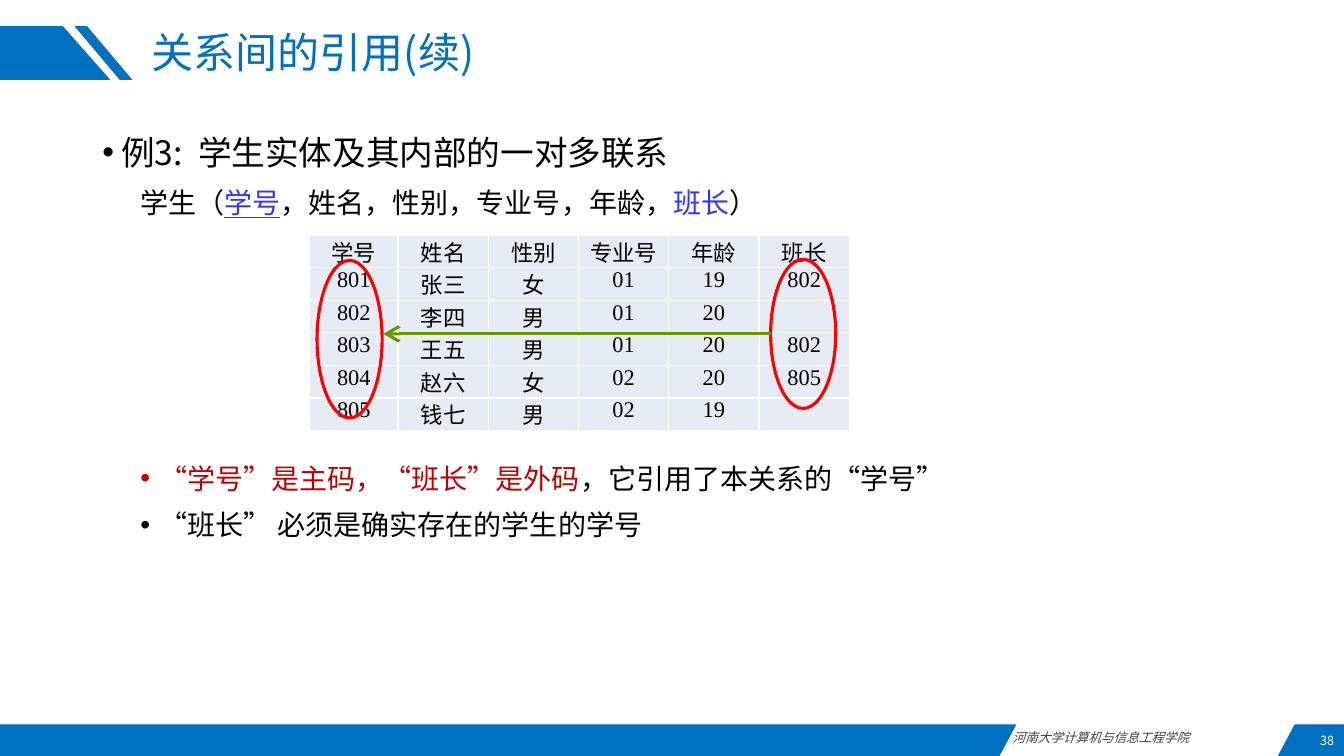
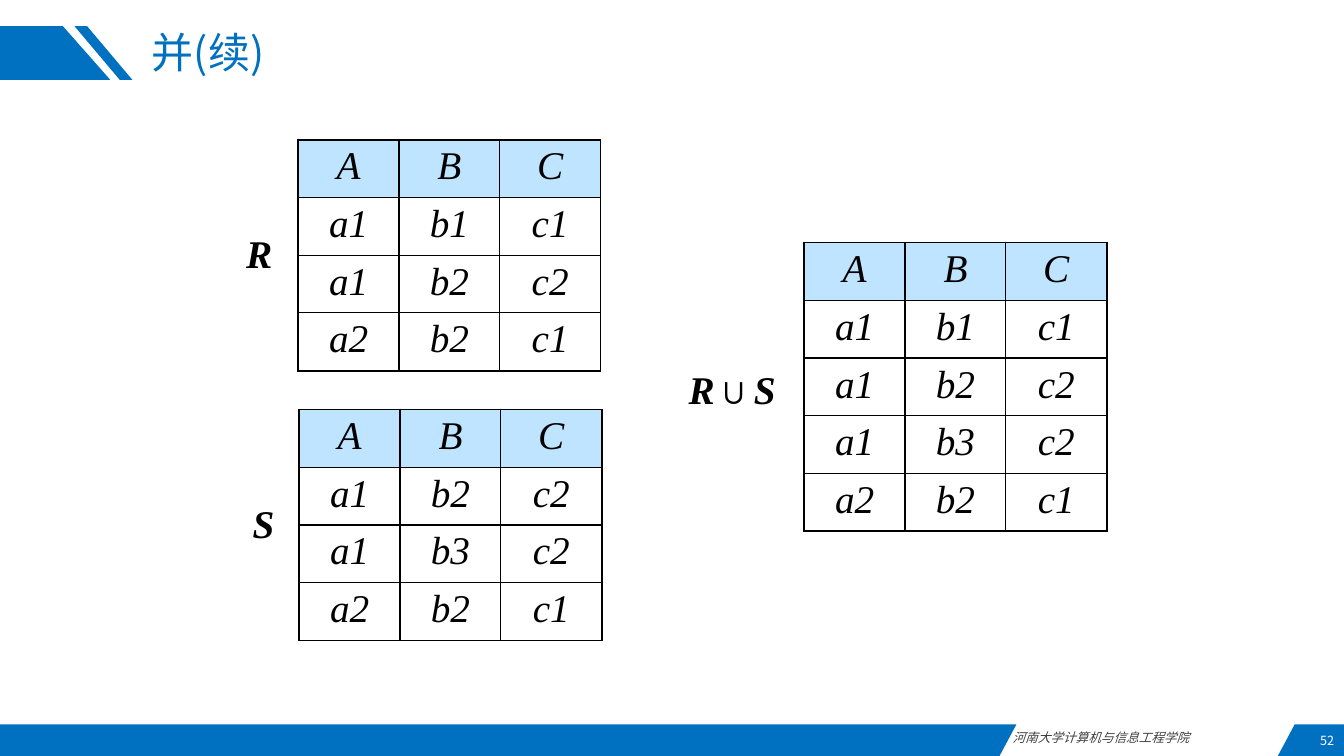
from pptx import Presentation
from pptx import util as u
from pptx.dml.color import RGBColor
from pptx.enum import shapes, text
from pptx.oxml import parse_xml
from pptx.oxml.ns import nsdecls, qn

PX = 9525
SANS = "Noto Sans CJK SC"
SERIF = "Times New Roman"
BLUE = RGBColor(0x00, 0x70, 0xC0)
LINK = RGBColor(0x33, 0x33, 0xFF)
DARK = RGBColor(0xC0, 0x00, 0x00)
RED = RGBColor(0xFF, 0x00, 0x00)
GREEN = RGBColor(0x66, 0x99, 0x00)
BLACK = RGBColor(0x00, 0x00, 0x00)
WHITE = RGBColor(0xFF, 0xFF, 0xFF)
GREY = RGBColor(0x40, 0x40, 0x40)
PALE = RGBColor(0xE7, 0xEB, 0xF4)
SKY = RGBColor(0xBF, 0xE4, 0xFF)
ALIGN = text.PP_ALIGN
MIDDLE = text.MSO_ANCHOR.MIDDLE


def px(*nums):
    return [u.Emu(n * PX) for n in nums]


def node(xml):
    """Make one drawing element from the inside of its tag."""
    return parse_xml(f"<a:{xml} {nsdecls('a')}/>")


def put(para, words, size=20, color=BLACK, font=SANS, bold=False,
        italic=False, under=False):
    """Add a run to a paragraph."""
    run = para.add_run()
    run.text = words
    face = run.font
    face.size, face.bold, face.italic = u.Pt(size), bold, italic
    face.underline = under
    face.color.rgb = color
    face.name = font
    run._r.get_or_add_rPr().append(node(f'ea typeface="{font}"'))


def edge(cell, sides, color, width):
    """Draw the borders of a cell; sides maps L, R, T, B to widths."""
    props = cell._tc.get_or_add_tcPr()
    for spot, side in enumerate("LRTB"):
        wide = u.Pt(sides.get(side, width))
        props.insert(spot, parse_xml(
            f'<a:ln{side} w="{wide}" {nsdecls("a")}><a:solidFill>'
            f'<a:srgbClr val="{color}"/></a:solidFill></a:ln{side}>'))


class Deck:
    def __init__(self):
        self.prs = Presentation()
        self.prs.slide_width, self.prs.slide_height = px(1280, 720)
        self.slide = None

    def page(self, title, number, layout):
        self.slide = self.prs.slides.add_slide(self.prs.slide_layouts[layout])
        frame = self.hold(self.slide.shapes.title, 135, 25, 1003, 54)
        frame.vertical_anchor = MIDDLE
        para = frame.paragraphs[0]
        para.alignment, para.line_spacing = ALIGN.LEFT, 0.9
        put(para, title, size=30, color=BLUE)
        self.label([(number, {})], 1146, 691, 134, 29, align=ALIGN.RIGHT,
                   size=9, color=WHITE)

    def hold(self, shape, *box):
        """Move a placeholder and return its text frame."""
        shape.left, shape.top, shape.width, shape.height = px(*box)
        frame = shape.text_frame
        frame.auto_size = text.MSO_AUTO_SIZE.NONE
        frame.word_wrap = True
        return frame

    def label(self, runs, *box, align=ALIGN.CENTER, wrap=True,
              anchor=MIDDLE, **style):
        shape = self.slide.shapes.add_textbox(*px(*box))
        frame = shape.text_frame
        frame.word_wrap, frame.vertical_anchor = wrap, anchor
        para = frame.paragraphs[0]
        para.alignment = align
        for words, extra in runs:
            put(para, words, **{**style, **extra})
        return shape

    def band(self, first, *rest):
        pen = self.slide.shapes.build_freeform(*first, scale=PX)
        pen.add_line_segments(rest, close=True)
        shape = pen.convert_to_shape()
        shape.shadow.inherit = False
        shape.fill.solid()
        shape.fill.fore_color.rgb = BLUE
        shape.line.fill.background()
        return shape

    def brand(self):
        """Draw the bands and footer, then move them to the slide master."""
        parts = [
            self.band((0, 25), (60, 25), (105, 76), (0, 76)),
            self.band((83, 25), (126, 76), (114, 76), (71, 25)),
            self.band((0, 690), (968, 690), (952, 720), (0, 720)),
            self.label([("河南大学计算机与信息工程学院", {})], 955, 690, 262, 24,
                       align=ALIGN.JUSTIFY, anchor=text.MSO_ANCHOR.TOP,
                       size=9, color=GREY, italic=True),
            self.band((1233, 690), (1280, 690), (1280, 720), (1217, 720)),
        ]
        tree = self.prs.slide_master.shapes.element
        for ident, part in enumerate(parts, 100):
            next(part.element.iter(qn("p:cNvPr"))).set("id", str(ident))
            tree.append(part.element)

    def body(self, items, *box):
        """Fill the body with (level, indent, hang, space before, runs)."""
        frame = self.hold(self.slide.placeholders[1], *box)
        for spot, (level, left, hang, before, runs) in enumerate(items):
            para = frame.add_paragraph() if spot else frame.paragraphs[0]
            para.level = level
            props = para._p.get_or_add_pPr()
            props.set("marL", str(left * PX))
            props.set("indent", str(-hang * PX))
            props.append(node('buChar char="•"' if hang else "buNone"))
            para.space_before, para.space_after = u.Pt(before), u.Pt(4.5)
            for words, style in runs:
                put(para, words, **style)

    def table(self, rows, left, top, widths, high):
        """Add a plain table and yield row, column, cell and words."""
        shape = self.slide.shapes.add_table(
            len(rows), len(widths), *px(left, top, sum(widths),
                                        high * len(rows)))
        grid = shape.table
        grid.first_row = grid.horz_banding = False
        for col, wide in zip(grid.columns, widths):
            col.width = u.Emu(wide * PX)
        for row in grid.rows:
            row.height = u.Emu(high * PX)
        for r, row in enumerate(rows):
            for c, words in enumerate(row):
                yield r, c, grid.cell(r, c), words

    def people(self, rows, *place):
        for _, _, cell, words in self.table(rows, *place):
            cell.margin_left = cell.margin_right = u.Emu(7 * PX)
            cell.margin_top = cell.margin_bottom = 0
            cell.fill.solid()
            cell.fill.fore_color.rgb = PALE
            edge(cell, {}, WHITE, 1)
            para = cell.text_frame.paragraphs[0]
            para.alignment = ALIGN.CENTER
            if words:
                put(para, words, size=16,
                    font=SERIF if words.isdecimal() else SANS)

    def relation(self, rows, left, top):
        rows = [("A", "B", "C")] + [row.split() for row in rows]
        last = len(rows) - 1
        for r, c, cell, words in self.table(rows, left, top, [96] * 3, 55):
            if r:
                cell.fill.background()
            else:
                cell.fill.solid()
                cell.fill.fore_color.rgb = SKY
            outer = {"L": c == 0, "R": c == 2, "T": r == 0, "B": r == last}
            edge(cell, {s: 1.5 for s, on in outer.items() if on}, BLACK, 1)
            para = cell.text_frame.paragraphs[0]
            para.alignment = ALIGN.CENTER
            put(para, words, size=28, font=SERIF, italic=True)

    def ring(self, *box):
        shape = self.slide.shapes.add_shape(
            shapes.MSO_SHAPE.OVAL, *px(*box))
        shape.shadow.inherit = False
        shape.fill.background()
        shape.line.color.rgb = RED
        shape.line.width = u.Pt(2.25)

    def arrow(self, *ends):
        line = self.slide.shapes.add_connector(
            shapes.MSO_CONNECTOR.STRAIGHT, *px(*ends))
        line.line.color.rgb = GREEN
        line.line.width = u.Pt(2.25)
        props = line.element.spPr
        props.find(qn("a:ln")).append(
            node('tailEnd type="arrow" w="lg" len="lg"'))
        props.append(node("effectLst"))


def quote(deck):
    """Build the slide on references inside one relation."""
    deck.page("关系间的引用(续)", "38", 1)
    deck.brand()
    deck.body([
        (0, 18, 18, 0, [("例3:  学生实体及其内部的一对多联系", {"size": 24})]),
        (1, 36, 0, 4.5, [
            ("学生（", {}), ("学号", {"color": LINK, "under": True}),
            ("，姓名，性别，专业号，年龄，", {}), ("班长", {"color": LINK}),
            ("）", {})]),
        (1, 54, 18, 169, [
            ("“学号”是主码，“班长”是外码", {"color": DARK}),
            ("，它引用了本关系的“学号”", {})]),
        (1, 54, 18, 4.5, [("“班长” 必须是确实存在的学生的学号", {})]),
    ], 88, 121, 1104, 549)
    deck.people([
        ("学号", "姓名", "性别", "专业号", "年龄", "班长"),
        ("801", "张三", "女", "01", "19", "802"),
        ("802", "李四", "男", "01", "20", ""),
        ("803", "王五", "男", "01", "20", "802"),
        ("804", "赵六", "女", "02", "20", "805"),
        ("805", "钱七", "男", "02", "19", ""),
    ], 295, 224, [84] + [86] * 5, 31)
    deck.ring(302, 248, 62, 150)
    deck.ring(734, 247, 62, 142)
    deck.arrow(734, 318, 365, 318)


def union(deck):
    """Build the slide on the union of two relations."""
    deck.page("并(续)", "52", 5)
    deck.relation(["a1 b1 c1", "a1 b2 c2", "a2 b2 c1"], 284, 133)
    deck.relation(["a1 b1 c1", "a1 b2 c2", "a1 b3 c2", "a2 b2 c1"], 766, 231)
    deck.relation(["a1 b2 c2", "a1 b3 c2", "a2 b2 c1"], 285, 390)
    style = dict(wrap=False, size=28, font=SERIF, bold=True, italic=True)
    deck.label([("R", {})], 223, 197, 48, 88, **style)
    deck.label([("S", {})], 227, 454, 48, 88, **style)
    deck.label([("R", {}), ("∪", {"italic": False}), ("S ", {})],
               638, 326, 128, 88, **style)


def main():
    deck = Deck()
    quote(deck)
    union(deck)
    deck.prs.save("out.pptx")


if __name__ == "__main__":
    main()
